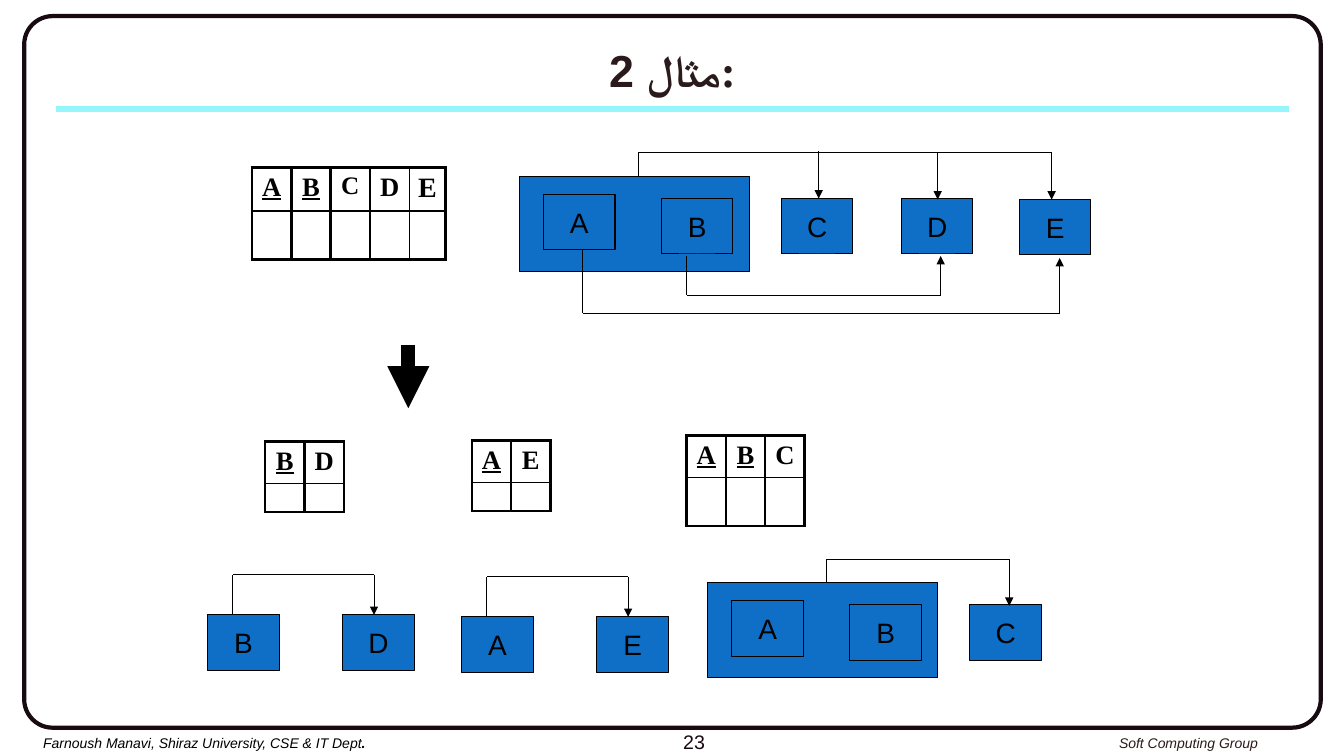
from dataclasses import dataclass
from itertools import pairwise

from lxml import etree
from pptx import Presentation
from pptx.dml.color import RGBColor
from pptx.enum.shapes import MSO_CONNECTOR, MSO_SHAPE
from pptx.enum.text import MSO_ANCHOR, PP_ALIGN
from pptx.oxml.ns import qn
from pptx.shapes.shapetree import GroupShapes, SlideShapes
from pptx.table import _Cell
from pptx.text.text import TextFrame, _Paragraph
from pptx.util import Emu, Pt

STRAIGHT = MSO_CONNECTOR.STRAIGHT
RECTANGLE = MSO_SHAPE.RECTANGLE
ROUNDED = MSO_SHAPE.ROUNDED_RECTANGLE
MIDDLE = MSO_ANCHOR.MIDDLE
CENTER = PP_ALIGN.CENTER
LEFT = PP_ALIGN.LEFT

EMU_PER_PX = 9144
SANS = "Arial"
SERIF = "Times New Roman"
BLACK = "000000"
BLUE = "0F6FC6"
DARK = "190911"
BROWN = "2B1A1B"
CYAN = "94F5FA"
Point = tuple[int, int]


@dataclass(frozen=True)
class Box:
    label: str
    left: int
    top: int
    width: int = 71
    height: int = 55


@dataclass(frozen=True)
class Diagram:
    boxes: list[Box]
    wires: list[list[Point]]


@dataclass(frozen=True)
class Column:
    label: str
    key: bool = False
    size: int = 19
    width: int = 39


@dataclass(frozen=True)
class Relation:
    left: int
    top: int
    columns: list[Column]
    row_heights: tuple[int, int]
    edges: list[int]


def px(length: int) -> Emu:
    return Emu(length * EMU_PER_PX)


def color(value: str) -> RGBColor:
    return RGBColor.from_string(value)


def write(paragraph: _Paragraph, text: str, *, size: int, font: str = SANS,
          fill: str = BLACK, bold: bool = False, italic: bool = False,
          underline: bool = False, align: PP_ALIGN = CENTER,
          complex_font: str = "") -> None:
    paragraph.alignment = align
    run = paragraph.add_run()
    run.text = text
    run.font.size = Pt(size)
    run.font.name = font
    run.font.color.rgb = color(fill)
    run.font.bold = bold
    run.font.italic = italic
    run.font.underline = underline
    if complex_font:
        properties = run.font._element
        etree.SubElement(properties, qn("a:cs"), typeface=complex_font)


def add_text_box(shapes: SlideShapes, left: int, top: int, width: int,
                 height: int, wrap: bool = True) -> TextFrame:
    shape = shapes.add_textbox(px(left), px(top), px(width), px(height))
    shape.text_frame.word_wrap = wrap
    return shape.text_frame


def add_line(shapes: SlideShapes | GroupShapes, start: Point, end: Point,
             stroke: str = BLACK, weight: float = 0.75,
             arrow: bool = False) -> None:
    connector = shapes.add_connector(STRAIGHT, *map(px, start + end))
    connector.line.color.rgb = color(stroke)
    connector.line.width = Pt(weight)
    if arrow:
        line = connector.line._get_or_add_ln()
        etree.SubElement(line, qn("a:tailEnd"), type="triangle")
    etree.SubElement(connector._element.spPr, qn("a:effectLst"))


def add_box(shapes: GroupShapes, box: Box) -> None:
    shape = shapes.add_shape(RECTANGLE, px(box.left), px(box.top),
                             px(box.width), px(box.height))
    shape.shadow.inherit = False
    shape.fill.solid()
    shape.fill.fore_color.rgb = color(BLUE)
    shape.line.color.rgb = color(BLACK)
    shape.line.width = Pt(0.75)
    if box.label:
        shape.text_frame.word_wrap = False
        shape.text_frame.vertical_anchor = MIDDLE
        write(shape.text_frame.paragraphs[0], box.label, size=20)


def add_diagram(shapes: SlideShapes, diagram: Diagram) -> None:
    group = shapes.add_group_shape()
    for box in diagram.boxes:
        add_box(group.shapes, box)
    for wire in diagram.wires:
        for start, end in pairwise(wire):
            add_line(group.shapes, start, end, arrow=end == wire[-1])


def set_borders(cell: _Cell, left: int, right: int, top: int,
                bottom: int) -> None:
    properties = cell._tc.get_or_add_tcPr()
    for side, weight in zip("LRTB", (left, right, top, bottom)):
        border = etree.SubElement(properties, qn(f"a:ln{side}"), w=str(Pt(weight)))
        fill = etree.SubElement(border, qn("a:solidFill"))
        etree.SubElement(fill, qn("a:srgbClr"), val=BLACK)


def add_relation(shapes: SlideShapes, relation: Relation) -> None:
    columns = relation.columns
    width = sum(column.width for column in columns)
    table = shapes.add_table(2, len(columns), px(relation.left), px(relation.top),
                             px(width), px(sum(relation.row_heights))).table
    table.first_row = False
    table.horz_banding = False
    for row, height in zip(table.rows, relation.row_heights):
        row.height = px(height)
    for index, column in enumerate(columns):
        table.columns[index].width = px(column.width)
        header, blank = table.cell(0, index), table.cell(1, index)
        left, right = relation.edges[index:index + 2]
        set_borders(header, left, right, 2, 1)
        set_borders(blank, left, right, 1, 2)
        for cell in (header, blank):
            cell.fill.background()
            cell.margin_left = cell.margin_right = 0
        write(header.text_frame.paragraphs[0], column.label, size=column.size,
              font=SERIF, bold=True, underline=column.key)
        blank_end = blank.text_frame.paragraphs[0]._p.get_or_add_endParaRPr()
        blank_end.set("sz", "800")


def composite_key(left: int, top: int) -> list[Box]:
    return [Box("", left, top, 228, 94), Box("A", left + 24, top + 18),
            Box("B", left + 141, top + 22), Box("C", left + 260, top + 22)]


def dependency(source: str, target: str, left: int, top: int) -> Diagram:
    start, end, rail = left + 25, left + 165, top - 40
    return Diagram([Box(source, left, top), Box(target, left + 134, top)],
                   [[(start, top), (start, rail), (end, rail), (end, top)]])


KEY_A, KEY_B = Column("A", True), Column("B", True)
RELATIONS = [
    Relation(250, 166, [KEY_A, KEY_B, Column("C", size=18), Column("D"),
                        Column("E", size=20, width=36)], (43, 48), [2, 2, 2, 1, 1, 2]),
    Relation(263, 438, [KEY_B, Column("D")], (42, 28), [2] * 3),
    Relation(681, 432, [KEY_A, KEY_B, Column("C")], (42, 48), [2] * 4),
    Relation(468, 437, [KEY_A, Column("E")], (42, 28), [2] * 3),
]
DIAGRAMS = [
    Diagram(composite_key(515, 175) + [Box("D", 894, 197), Box("E", 1011, 198)], [
        [(633, 175), (633, 151), (1043, 151), (1043, 198)],
        [(930, 151), (930, 198)],
        [(812, 150), (812, 197)],
        [(681, 254), (681, 293), (933, 293), (933, 254)],
        [(578, 247), (578, 311), (1051, 311), (1051, 256)]]),
    Diagram(composite_key(702, 578),
            [[(820, 578), (820, 555), (1001, 555), (1001, 601)]]),
    dependency("B", "D", 206, 610),
    dependency("A", "E", 458, 612),
]


def add_page_frame(shapes: SlideShapes) -> None:
    border = shapes.add_shape(ROUNDED, px(24), px(16), px(1286), px(706))
    border.adjustments[0] = 0.04
    border.shadow.inherit = False
    border.fill.background()
    border.line.color.rgb = color(DARK)
    border.line.width = Pt(3)
    add_line(shapes, (56, 108), (1278, 108), CYAN, 4.5)
    group_name = add_text_box(shapes, 1100, 724, 159, 27, wrap=False).paragraphs[0]
    write(group_name, "Soft Computing Group", size=10, fill=BROWN, italic=True, align=LEFT)
    author = add_text_box(shapes, 33, 724, 348, 27, wrap=False).paragraphs[0]
    write(author, "Farnoush Manavi, Shiraz University, CSE & IT Dept", size=10,
          italic=True, align=LEFT)
    write(author, ".", size=10, bold=True, italic=True, align=LEFT)
    number = add_text_box(shapes, 533, 719, 311, 35).paragraphs[0]
    write(number, "23", size=14, fill=DARK)


def main() -> None:
    presentation = Presentation()
    presentation.slide_width, presentation.slide_height = px(1333), px(750)
    shapes = presentation.slides.add_slide(presentation.slide_layouts[6]).shapes
    add_page_frame(shapes)
    title = add_text_box(shapes, 56, 37, 1222, 62).paragraphs[0]
    write(title, "مثال 2:", size=32, font=SERIF, fill=BROWN, bold=True, complex_font=SANS)
    for relation in RELATIONS:
        add_relation(shapes, relation)
    for diagram in DIAGRAMS:
        add_diagram(shapes, diagram)
    add_line(shapes, (405, 342), (405, 405), weight=10, arrow=True)
    presentation.save("out.pptx")


if __name__ == "__main__":
    main()
